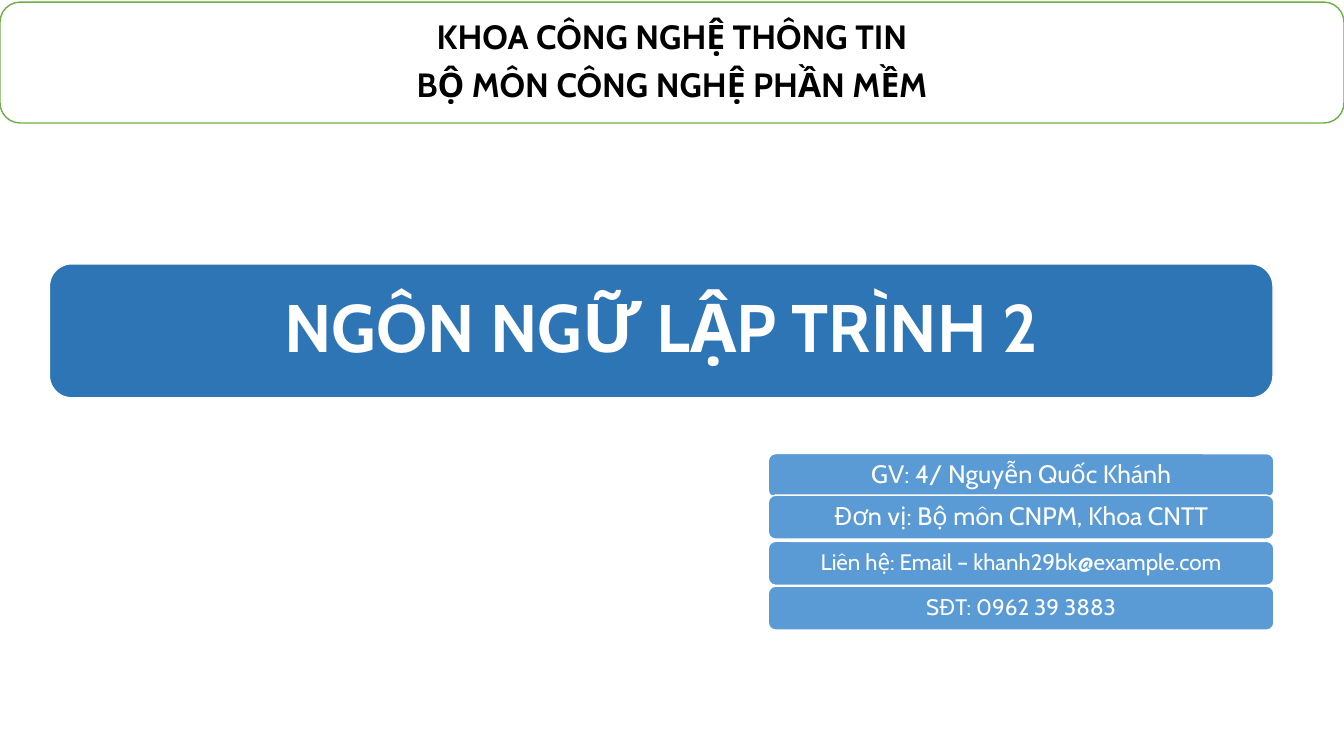
from pptx import Presentation
from pptx.dml.color import RGBColor
from pptx.enum.shapes import MSO_SHAPE
from pptx.enum.text import MSO_ANCHOR, PP_ALIGN
from pptx.util import Pt

COLORS = {
    "white": "FFFFFF",
    "black": "000000",
    "green": "70AD47",
    "dark blue": "2E75B6",
    "light blue": "5B9BD5",
}
FONT = "Cabin"


def color(name):
    """Return the named colour."""
    return RGBColor.from_string(COLORS[name])


def write_text(frame, text, size=18, ink="white", bold=False, inset=5):
    """Fill a text frame with centred lines, one paragraph per line."""
    frame.word_wrap = True
    frame.vertical_anchor = MSO_ANCHOR.MIDDLE
    frame.margin_left = frame.margin_right = Pt(inset)
    frame.margin_top = frame.margin_bottom = Pt(inset)
    for index, line in enumerate(text.split("\n")):
        para = frame.add_paragraph() if index else frame.paragraphs[0]
        para.alignment = PP_ALIGN.CENTER
        para.line_spacing = 0.9
        para.space_before = Pt(0.35 * size if index else 0)
        span = para.add_run()
        span.text = line
        span.font.name = FONT
        span.font.size = Pt(size)
        span.font.bold = bold
        span.font.color.rgb = color(ink)


class SlideBuilder:
    """Holds the style and the current slide."""

    line_width = 1

    def __init__(self, deck):
        """Add a blank slide to the deck."""
        self.slide = deck.slides.add_slide(deck.slide_layouts[6])

    def rounded_box(self, left, top, width, height, text, fill, line="white", **text_format):
        """Add a rounded box that carries its own text."""
        box = self.slide.shapes.add_shape(
            MSO_SHAPE.ROUNDED_RECTANGLE, Pt(left), Pt(top), Pt(width), Pt(height))
        box.shadow.inherit = False
        box.fill.solid()
        box.fill.fore_color.rgb = color(fill)
        box.line.color.rgb = color(line)
        box.line.width = Pt(self.line_width)
        write_text(box.text_frame, text, **text_format)
        return box


def main():
    """Build the course title slide."""
    deck = Presentation()
    deck.slide_width, deck.slide_height = Pt(960), Pt(540)
    page = SlideBuilder(deck)

    page.rounded_box(35.3, 188.5, 874, 95.7, "NGÔN NGỮ LẬP TRÌNH 2",
                     "dark blue", size=48, bold=True, inset=14)

    contact_lines = [
        (324, 18, "GV: 4/ Nguyễn Quốc Khánh"),
        (353.7, 18, "Đơn vị: Bộ môn CNPM, Khoa CNTT"),
        (386.7, 16, "Liên hệ: Email – khanh29bk@example.com"),
        (418.7, 16, "SĐT: 0962 39 3883"),
    ]
    for top, size, text in contact_lines:
        page.rounded_box(548.8, top, 361.2, 31.4, text, "light blue", size=size, inset=4)

    page.rounded_box(0, 1.5, 960, 86.4,
                     "KHOA CÔNG NGHỆ THÔNG TIN\nBỘ MÔN CÔNG NGHỆ PHẦN MỀM",
                     "white", line="green", size=24, ink="black", bold=True, inset=7)

    deck.save("out.pptx")


main()
